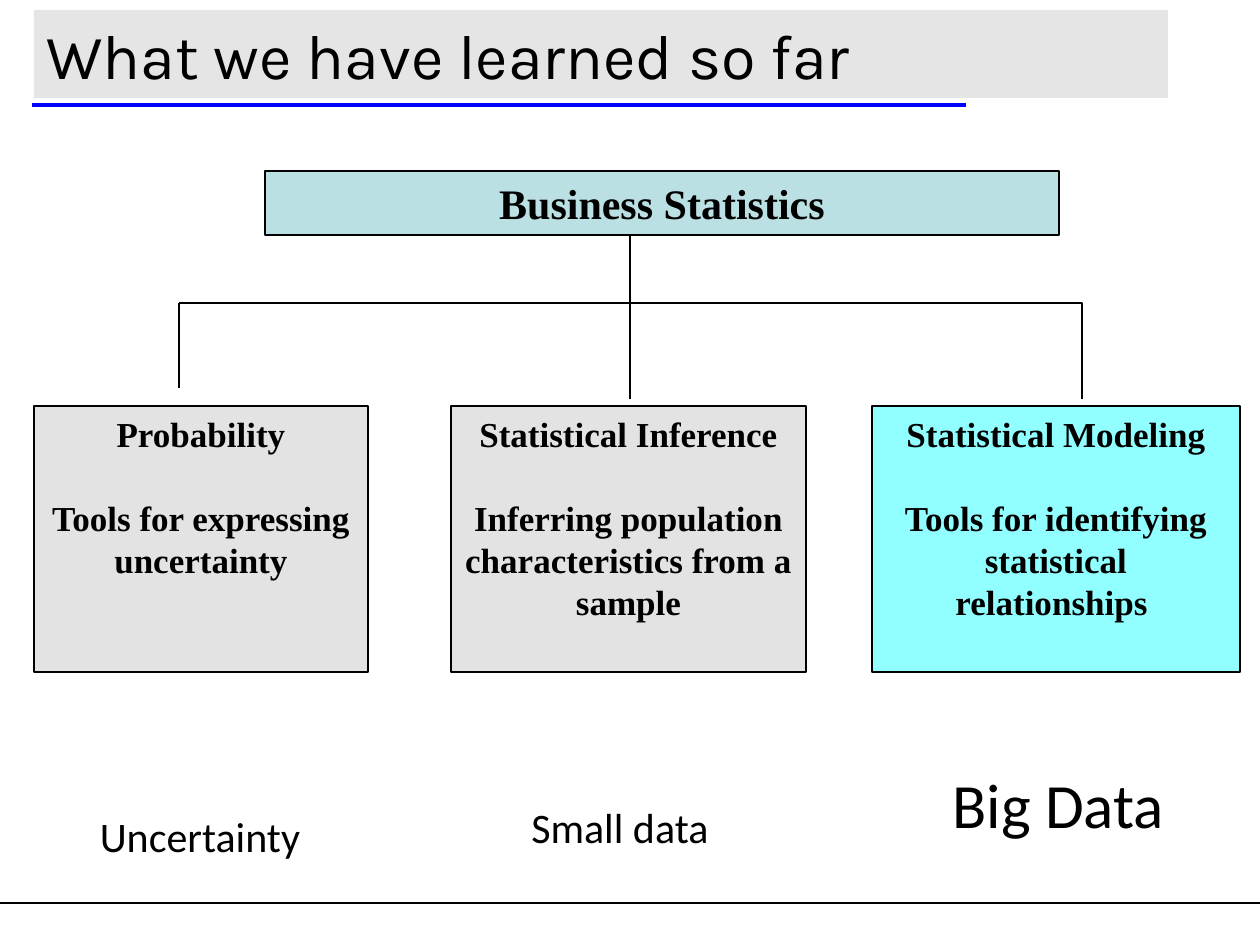
import pptx
import pptx.dml.color
import pptx.enum.shapes
import pptx.enum.text
import pptx.oxml.ns
import pptx.util
from lxml import etree

PX = 914400 / 126
BLACK = "000000"
SERIF = "Times New Roman"
ALIGN = pptx.enum.text.PP_ALIGN
ANCHOR = pptx.enum.text.MSO_ANCHOR


def paint(target, color, alpha=None):
    """Give a fill or font a solid hex colour, with optional opacity in percent."""
    if hasattr(target, "solid"):
        target.solid()
        target = target.fore_color
    else:
        target = target.color
    target.rgb = pptx.dml.color.RGBColor.from_string(color)
    if alpha:
        return alpha
    return None


def add_text(area, lines, font=SERIF, size=20, bold=False, align=ALIGN.CENTER,
             fill=None, alpha=100, outline=True, anchor=ANCHOR.TOP,
             wrap=True, leading=None, gap=0):
    left, top, width, height = [round(value * PX) for value in area]
    if fill:
        box = page.shapes.add_shape(pptx.enum.shapes.MSO_SHAPE.RECTANGLE,
                                    left, top, width, height)
        box.shadow.inherit = False
        paint(box.fill, fill)
        if alpha < 100:
            color = box.fill._xPr.find(".//" + pptx.oxml.ns.qn("a:srgbClr"))
            etree.SubElement(color, pptx.oxml.ns.qn("a:alpha"), val=str(alpha * 1000))
        if outline:
            paint(box.line.fill, BLACK)
            box.line.width = pptx.util.Pt(0.75)
        else:
            box.line.fill.background()
    else:
        box = page.shapes.add_textbox(left, top, width, height)
    frame = box.text_frame
    frame.word_wrap = wrap
    frame.vertical_anchor = anchor
    for index, line in enumerate(lines):
        para = frame.add_paragraph() if index else frame.paragraphs[0]
        para.alignment = align
        if leading:
            para.line_spacing = pptx.util.Pt(leading)
        if index:
            para.space_before = pptx.util.Pt(gap)
        span = para.add_run()
        span.text = line
        span.font.name = font
        span.font.size = pptx.util.Pt(size)
        span.font.bold = bold
        paint(span.font.fill, BLACK)


deck = pptx.Presentation()
deck.slide_width = round(1260 * PX)
deck.slide_height = round(945 * PX)
page = deck.slides.add_slide(deck.slide_layouts[6])

# Footer rule, title underline and the straight branches of the tree
for x1, y1, x2, y2, color, weight in [
    (0, 903, 1260, 903, BLACK, 0.75),
    (32, 105, 966, 105, "0000FF", 2.5),
    (630, 399, 630, 235, BLACK, 0.75),
    (179, 303, 179, 388, BLACK, 0.75),
]:
    rule = page.shapes.add_connector(pptx.enum.shapes.MSO_CONNECTOR.STRAIGHT,
                                     *[round(value * PX) for value in (x1, y1, x2, y2)])
    paint(rule.line.fill, color)
    rule.line.width = pptx.util.Pt(weight)
    etree.SubElement(rule._element.spPr, pptx.oxml.ns.qn("a:effectLst"))

# Crossbar that turns down to the right-hand branch
builder = page.shapes.build_freeform(179, 303, scale=PX)
builder.add_line_segments([(1082, 303), (1082, 399)], close=False)
crossbar = builder.convert_to_shape()
crossbar.shadow.inherit = False
crossbar.fill.background()
paint(crossbar.line.fill, BLACK)
crossbar.line.width = pptx.util.Pt(0.75)

add_text((34, 10, 1134, 88), ["What we have learned so far"], font="Karla", size=36,
         align=ALIGN.LEFT, fill="C0C0C0", alpha=40, outline=False, anchor=ANCHOR.MIDDLE)
add_text((265, 171, 794, 64), ["Business Statistics"], size=24, bold=True,
         fill="BBE0E3", anchor=ANCHOR.MIDDLE)

for left, width, fill, heading, purpose in [
    (34, 334, "C0C0C0", "Probability", "Tools for expressing uncertainty"),
    (451, 355, "C0C0C0", "Statistical Inference",
     "Inferring population characteristics from a sample"),
    (872, 368, "00FFFF", "Statistical Modeling",
     "Tools for identifying statistical relationships "),
]:
    add_text((left, 406, width, 266), [heading, purpose], bold=True,
             fill=fill, alpha=43, leading=24, gap=24)

for area, caption, size in [
    ((86, 804, 228, 64), "Uncertainty", 24),
    ((518, 795, 204, 64), "Small data", 24),
    ((939, 759, 239, 89), "Big Data", 36),
]:
    add_text(area, [caption], font="Calibri", size=size, wrap=False)

deck.save("out.pptx")
